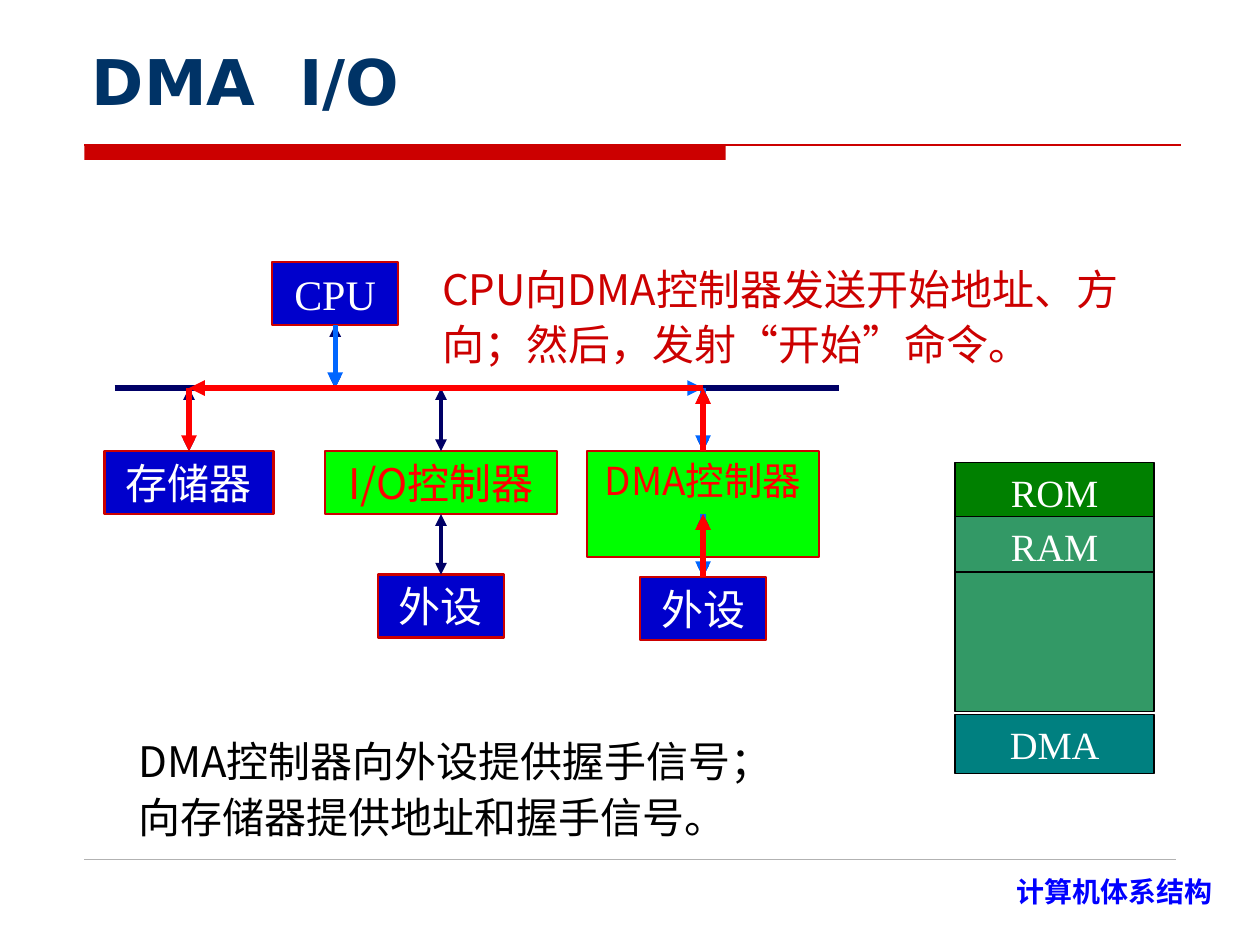
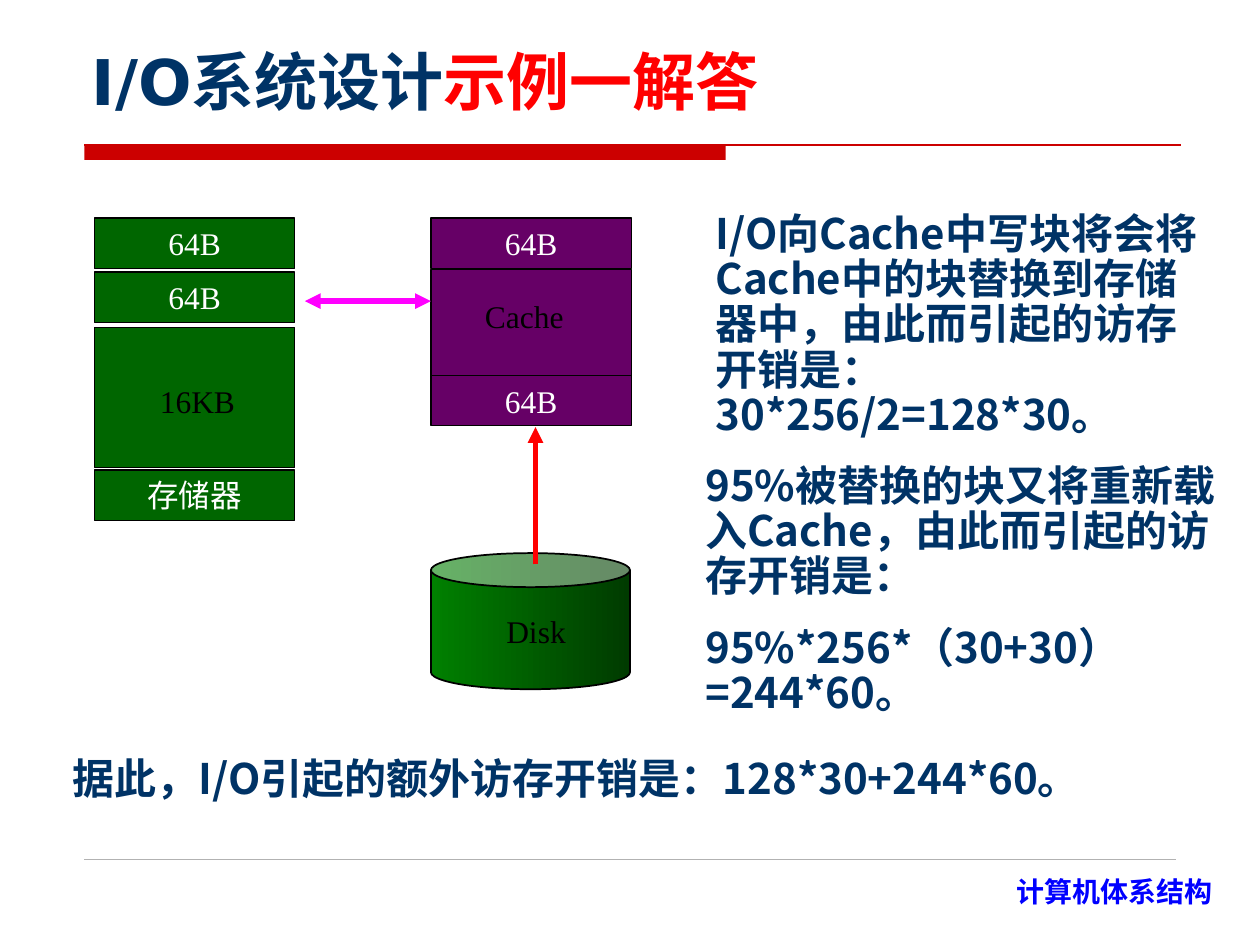
from dataclasses import dataclass

from lxml import etree
from pptx import Presentation
from pptx.dml.color import RGBColor
from pptx.enum import shapes, text
from pptx.oxml.ns import qn
from pptx.util import Inches, Pt

HUES = {
    "navy": "003366", "red": "FF0000", "band": "CC0000", "rule": "B2B2B2",
    "foot": "0000FF", "blue": "0000CC", "lime": "00FF00", "bus": "000066",
    "sky": "0066FF", "white": "FFFFFF", "black": "000000", "rom": "008000",
    "ram": "339966", "teal": "008080", "green": "006600", "plum": "660066",
    "pink": "FF00FF", "dark": "003B00",
}
TIMES, SANS, BOLD, HEAD = (
    "Times New Roman", "Noto Sans CJK JP", "Noto Sans CJK SC", "DejaVu Sans")
MID = text.PP_ALIGN.CENTER
LEFT = text.PP_ALIGN.LEFT
RIGHT = text.PP_ALIGN.RIGHT
SNAP = Inches(0.03)


@dataclass(frozen=True)
class Style:
    size: float
    face: str
    hue: str
    bold: bool = False
    align: text.PP_ALIGN = LEFT
    lead: float | None = None


@dataclass(frozen=True)
class Box:
    x: float
    y: float
    wide: float
    high: float
    fill: str
    words: str = ""
    style: Style | None = None
    edge: str = "black"
    line: float = 0.75
    kind: shapes.MSO_SHAPE = shapes.MSO_SHAPE.RECTANGLE


@dataclass(frozen=True)
class Note:
    x: float
    y: float
    wide: float
    high: float
    lines: tuple[str, ...]
    style: Style


@dataclass(frozen=True)
class Line:
    start: tuple[float, float]
    end: tuple[float, float]
    hue: str
    width: float = 3
    ends: tuple[str, ...] = ("tailEnd",)


BOTH = ("headEnd", "tailEnd")
TITLE = Style(36, HEAD, "navy", True)
FOOT = Style(16, BOLD, "foot", True, RIGHT)
UNIT = Style(24, TIMES, "white", align=MID)
CTRL = Style(24, SANS, "red", align=MID)
SMALL = Style(22, SANS, "red", align=MID)
MAP = Style(22, TIMES, "white", align=MID)
CELL = Style(18, TIMES, "white", align=MID)
LABEL = Style(18, TIMES, "black")
ALERT = Style(24, SANS, "band", lead=1.1)
PLAIN = Style(24, SANS, "black", lead=1.1)
PROOF = Style(24, BOLD, "navy", True, lead=0.9)


def rgb(hue: str) -> RGBColor:
    return RGBColor.from_string(HUES[hue])


def set_style(para, style: Style) -> None:
    para.alignment = style.align
    if style.lead:
        para.line_spacing = style.lead
    font = para.font
    font.size, font.name, font.bold = Pt(style.size), style.face, style.bold
    font.color.rgb = rgb(style.hue)
    props = para._p.get_or_add_pPr().find(qn("a:defRPr"))
    east = SANS if style.face == TIMES else BOLD if style.face == HEAD else style.face
    etree.SubElement(props, qn("a:ea")).set("typeface", east)


def write(frame, lines: tuple[str, ...], style: Style) -> None:
    frame.word_wrap = True
    frame.vertical_anchor = text.MSO_ANCHOR.TOP
    for i, words in enumerate(lines):
        para = frame.add_paragraph() if i else frame.paragraphs[0]
        if i:
            para.space_before = Pt(15)
        para.add_run().text = words
        set_style(para, style)


def place(item: Box | Note) -> tuple:
    return tuple(Inches(n) for n in (item.x, item.y, item.wide, item.high))


def add_box(slide, box: Box):
    shape = slide.shapes.add_shape(box.kind, *place(box))
    shape.shadow.inherit = False
    shape.fill.solid()
    shape.fill.fore_color.rgb = rgb(box.fill)
    if box.line:
        shape.line.color.rgb = rgb(box.edge)
        shape.line.width = Pt(box.line)
    else:
        shape.line.fill.background()
    if box.style:
        write(shape.text_frame, (box.words,), box.style)
    return shape


def add_note(slide, note: Note) -> None:
    write(slide.shapes.add_textbox(*place(note)).text_frame, note.lines, note.style)


def find_side(spot: tuple, rects: list):
    x, y = spot
    for rect in rects:
        left, top, wide, high = rect.left, rect.top, rect.width, rect.height
        sides = ((left + wide // 2, top), (left, top + high // 2),
                 (left + wide // 2, top + high), (left + wide, top + high // 2))
        for i, (a, b) in enumerate(sides):
            if abs(a - x) <= SNAP and abs(b - y) <= SNAP:
                return rect, i
    return None


def add_line(slide, line: Line, rects: list) -> None:
    start = tuple(Inches(n) for n in line.start)
    end = tuple(Inches(n) for n in line.end)
    link = slide.shapes.add_connector(shapes.MSO_CONNECTOR.STRAIGHT, *start, *end)
    link.line.color.rgb = rgb(line.hue)
    link.line.width = Pt(line.width)
    for tip in line.ends:
        etree.SubElement(link.line._get_or_add_ln(), qn("a:" + tip)).set("type", "triangle")
    etree.SubElement(link._element.spPr, qn("a:effectLst"))
    for spot, join in ((start, link.begin_connect), (end, link.end_connect)):
        side = find_side(spot, rects)
        if side:
            join(*side)


def add_slide(deck, parts: tuple[tuple[str, str], ...]):
    slide = deck.slides.add_slide(deck.slide_layouts[5])
    title = slide.shapes.title
    title.left, title.top = Inches(0.63), Inches(0.33)
    title.width, title.height = Inches(8.75), Inches(0.66)
    frame = title.text_frame
    frame.auto_size = text.MSO_AUTO_SIZE.NONE
    frame.vertical_anchor = text.MSO_ANCHOR.BOTTOM
    para = frame.paragraphs[0]
    for words, hue in parts:
        run = para.add_run()
        run.text = words
        if hue != TITLE.hue:
            run.font.color.rgb = rgb(hue)
    set_style(para, TITLE)
    add_box(slide, Box(0.67, 1.15, 5.09, 0.12, "band", line=0))
    add_line(slide, Line((0.67, 1.15), (9.37, 1.15), "band", 0.75, ()), [])
    add_line(slide, Line((0.67, 6.82), (9.33, 6.82), "rule", 0.25, ()), [])
    add_note(slide, Note(7.27, 6.89, 2.45, 0.43, ("计算机体系结构",), FOOT))
    return slide


def add_all(slide, boxes: list[Box], lines: list[Line], notes: list[Note]) -> None:
    rects = [add_box(slide, box) for box in boxes]
    for line in lines:
        add_line(slide, line, rects)
    for note in notes:
        add_note(slide, note)


def build_dma(deck) -> None:
    slide = add_slide(deck, (("DMA  I/O", "navy"),))
    bus, top, low, base = 3.08, 3.58, 4.08, 4.58
    cpu, mem, port, dma = 2.66, 1.5, 3.5, 5.58

    def unit(mid, y, wide, words, fill="blue", style=UNIT, high=0.5):
        return Box(mid - wide / 2, y, wide, high, fill, words, style, "band", 1.5)

    boxes = [
        unit(cpu, 2.08, 1, "CPU"),
        unit(mem, top, 1.34, "存储器"),
        unit(port, top, 1.84, "I/O控制器", "lime", CTRL),
        unit(dma, top, 1.84, "DMA控制器", "lime", SMALL, 0.84),
        unit(port, 4.56, 1, "外设"),
        unit(dma, base, 1, "外设"),
    ]
    boxes += [
        Box(7.58, y, 1.58, high, fill, words, MAP if words else None)
        for y, high, fill, words in (
            (3.67, 0.47, "rom", "ROM"), (4.1, 0.47, "ram", "RAM"),
            (5.67, 0.47, "teal", "DMA"), (4.54, 1.11, "ram", ""))
    ]
    drops = ((cpu, 2.58, bus), (mem, bus, top), (port, bus, top),
             (dma, bus, top), (port, low, base), (dma, low, base))
    lines = [Line((0.91, bus), (6.66, bus), "bus", ends=())]
    lines += [Line((x, a), (x, b), "bus", 2.25, BOTH) for x, a, b in drops]
    lines += [
        Line(start, end, hue) for hue, start, end in (
            ("sky", (cpu, 2.58), (cpu, bus)),
            ("sky", (cpu, bus), (dma, bus)),
            ("sky", (dma, bus), (dma, top)),
            ("sky", (dma, low), (dma, base)),
            ("red", (dma, base), (dma, low)),
            ("red", (dma, top), (dma, bus)),
            ("red", (dma, bus), (mem, bus)),
            ("red", (mem, bus), (mem, top)))
    ]
    add_all(slide, boxes, lines, [
        Note(3.41, 2, 5.58, 0.98,
             ("CPU向DMA控制器发送开始地址、方向；然后，发射“开始”命令。",), ALERT),
        Note(1, 5.75, 5.33, 0.98,
             ("DMA控制器向外设提供握手信号；向存储器提供地址和握手信号。",), PLAIN),
    ])


def build_cost(deck) -> None:
    slide = add_slide(deck, (("I/O系统设计", "navy"), ("示例一解答", "red")))
    boxes = [
        Box(x, y, 1.59, high, fill, words, CELL if words else None)
        for x, fill, y, high, words in (
            (0.75, "green", 1.73, 0.4, "64B"), (0.75, "green", 2.16, 0.4, "64B"),
            (0.75, "green", 3.73, 0.4, "存储器"), (0.75, "green", 2.6, 1.11, ""),
            (3.42, "plum", 1.73, 0.4, "64B"), (3.42, "plum", 2.14, 0.86, ""),
            (3.42, "plum", 2.98, 0.4, "64B"))
    ]
    disk = add_box(slide, Box(3.42, 4.39, 1.58, 1.08, "rom", line=1,
                              kind=shapes.MSO_SHAPE.CAN))
    disk.adjustments[0] = 0.25
    disk.fill.gradient()
    disk.fill.gradient_angle = 0
    for stop, hue in zip(disk.fill.gradient_stops, ("rom", "dark")):
        stop.color.rgb = rgb(hue)
    add_all(slide, boxes, [
        Line((4.25, 4.48), (4.25, 3.39), "red"),
        Line((3.42, 2.39), (2.42, 2.39), "pink", ends=BOTH),
    ], [
        Note(3.75, 2.31, 1.08, 0.4, ("Cache",), LABEL),
        Note(3.92, 4.81, 0.83, 0.4, ("Disk",), LABEL),
        Note(1.17, 2.98, 0.83, 0.4, ("16KB",), LABEL),
        Note(5.58, 1.64, 4.08, 1.9,
             ("I/O向Cache中写块将会将Cache中的块替换到存储器中，"
              "由此而引起的访存开销是：30*256/2=128*30。",), PROOF),
        Note(5.5, 3.64, 4.25, 2.11,
             ("95%被替换的块又将重新载入Cache，由此而引起的访存开销是：",
              "95%*256*（30+30）=244*60。"), PROOF),
        Note(0.48, 5.97, 9.08, 0.46,
             ("据此，I/O引起的额外访存开销是：128*30+244*60。",), PROOF),
    ])


def main() -> None:
    deck = Presentation()
    deck.slide_width, deck.slide_height = Inches(10), Inches(7.5)
    build_dma(deck)
    build_cost(deck)
    deck.save("out.pptx")


if __name__ == "__main__":
    main()
